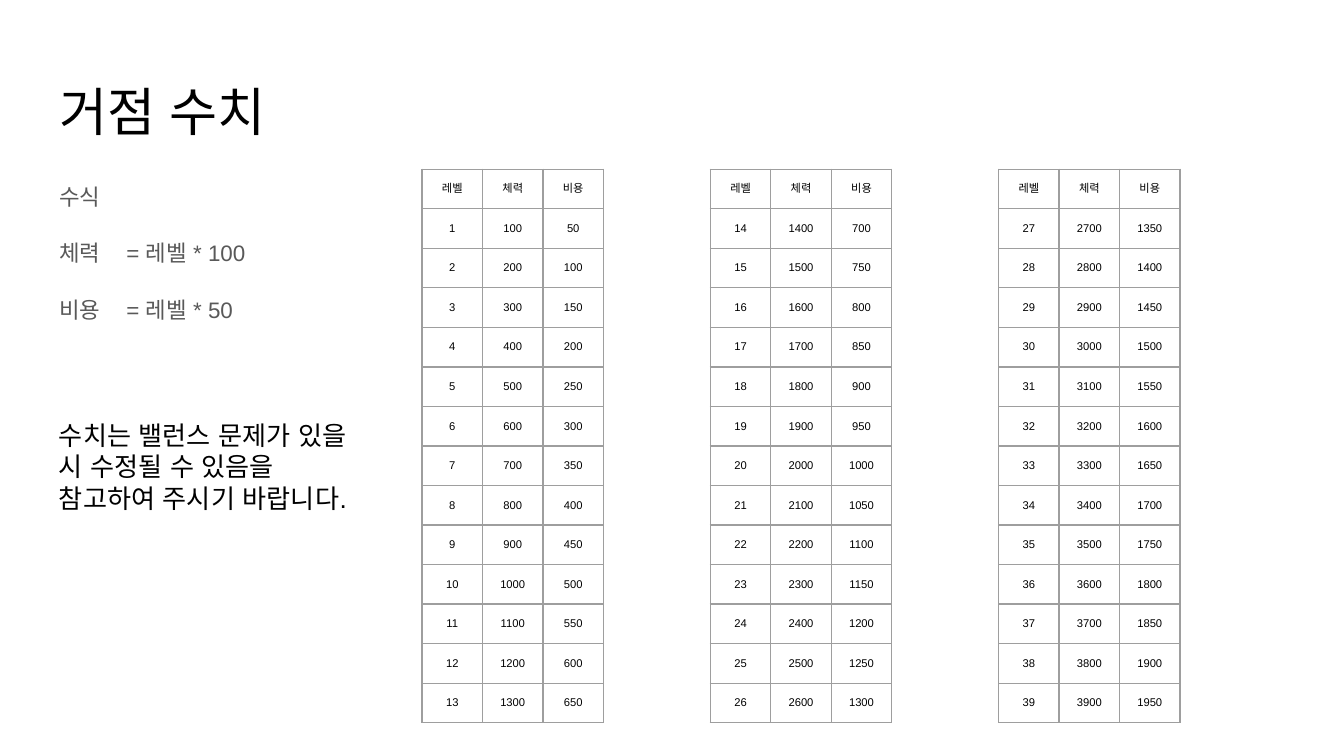
from lxml import etree
from pptx import Presentation
from pptx.dml.color import RGBColor
from pptx.enum import lang, text
from pptx.oxml import ns
from pptx.util import Inches, Pt

BLACK = RGBColor(0x00, 0x00, 0x00)
GRAY = RGBColor(0x59, 0x59, 0x59)
RULE = RGBColor(0x9E, 0x9E, 0x9E)
FONT = "Arial"
PAD = Inches(0.1)
HEADS = ("레벨", "체력", "비용")
COUNT = 13


def place(shape, box):
    """Move a shape to a box given in inches."""
    shape.left, shape.top, shape.width, shape.height = map(Inches, box)


def style(frame, size, color, align=text.PP_ALIGN.LEFT, after=0):
    """Format every paragraph and run of a text frame."""
    for para in frame.paragraphs:
        para.alignment = align
        para.space_before, para.space_after = Pt(0), Pt(after)
        for run in para.runs:
            run.font.size, run.font.name = Pt(size), FONT
            run.font.color.rgb = color
            run.font.language_id = lang.MSO_LANGUAGE_ID.KOREAN
            props = run._r.get_or_add_rPr()
            etree.SubElement(props, ns.qn("a:ea"), typeface=FONT)


def fit(frame):
    """Set the margins, top anchor and wrapping of a text frame."""
    frame.margin_left = frame.margin_right = PAD
    frame.margin_top = frame.margin_bottom = PAD
    frame.vertical_anchor = text.MSO_ANCHOR.TOP
    frame.auto_size = text.MSO_AUTO_SIZE.NONE
    frame.word_wrap = True


def add_title(slide, box):
    """Fill the title placeholder."""
    title = slide.shapes.title
    place(title, box)
    title.text_frame.text = "거점 수치"
    fit(title.text_frame)
    style(title.text_frame, 28, BLACK)


def add_rules(slide, box):
    """Fill the body placeholder with the formulas."""
    body = slide.placeholders[1]
    place(body, box)
    frame = body.text_frame
    frame.text = "수식\n체력\t= 레벨 * 100\n비용\t= 레벨 * 50"
    fit(frame)
    style(frame, 12, GRAY, after=16)
    for para in frame.paragraphs:
        props = para._p.get_or_add_pPr()
        props.set("marL", "0")
        props.set("indent", "0")
        etree.SubElement(props, ns.qn("a:buNone"))
        tabs = etree.SubElement(props, ns.qn("a:tabLst"))
        etree.SubElement(tabs, ns.qn("a:tab"), pos=str(Inches(1)), algn="l")


def add_edges(cell):
    """Draw the four borders of a table cell."""
    props = cell._tc.get_or_add_tcPr()
    for side in "LRTB":
        line = etree.SubElement(props, ns.qn("a:ln" + side), w=str(Pt(0.75)))
        fill = etree.SubElement(line, ns.qn("a:solidFill"))
        etree.SubElement(fill, ns.qn("a:srgbClr"), val=str(RULE))


def add_levels(slide, box, first):
    """Add a table of health and cost for consecutive levels."""
    rows = [HEADS] + [(n, n * 100, n * 50) for n in range(first, first + COUNT)]
    shape = slide.shapes.add_table(len(rows), len(HEADS), *map(Inches, box))
    table = shape.table
    table.first_row = table.horz_banding = False
    for col in table.columns:
        col.width = Inches(box[2] / len(HEADS))
    for r, row in enumerate(rows):
        table.rows[r].height = Inches(0.29 if r else 0)
        for c, value in enumerate(row):
            cell = table.cell(r, c)
            cell.text_frame.text = str(value)
            cell.margin_left = cell.margin_right = PAD
            cell.margin_top = cell.margin_bottom = PAD
            style(cell.text_frame, 6, BLACK, text.PP_ALIGN.CENTER)
            add_edges(cell)
            cell.fill.background()
    place(shape, box)


def add_note(slide, box):
    """Add the remark on later changes."""
    frame = slide.shapes.add_textbox(*map(Inches, box)).text_frame
    frame.text = "수치는 밸런스 문제가 있을 시 수정될 수 있음을 참고하여 주시기 바랍니다."
    fit(frame)
    frame.margin_right = Inches(0.16)
    style(frame, 14, BLACK)


def build():
    """Build the slide and save it."""
    deck = Presentation()
    deck.slide_width, deck.slide_height = Inches(10), Inches(5.625)
    slide = deck.slides.add_slide(deck.slide_layouts[1])
    add_title(slide, (0.34, 0.49, 9.32, 0.63))
    add_rules(slide, (0.34, 1.26, 2.67, 4.26))
    for i in range(3):
        add_levels(slide, (3.14 + i * 2.145, 1.26, 1.35, 4.2), 1 + i * COUNT)
    add_note(slide, (0.34, 3.02, 2.54, 1.95))
    deck.save("out.pptx")


build()
